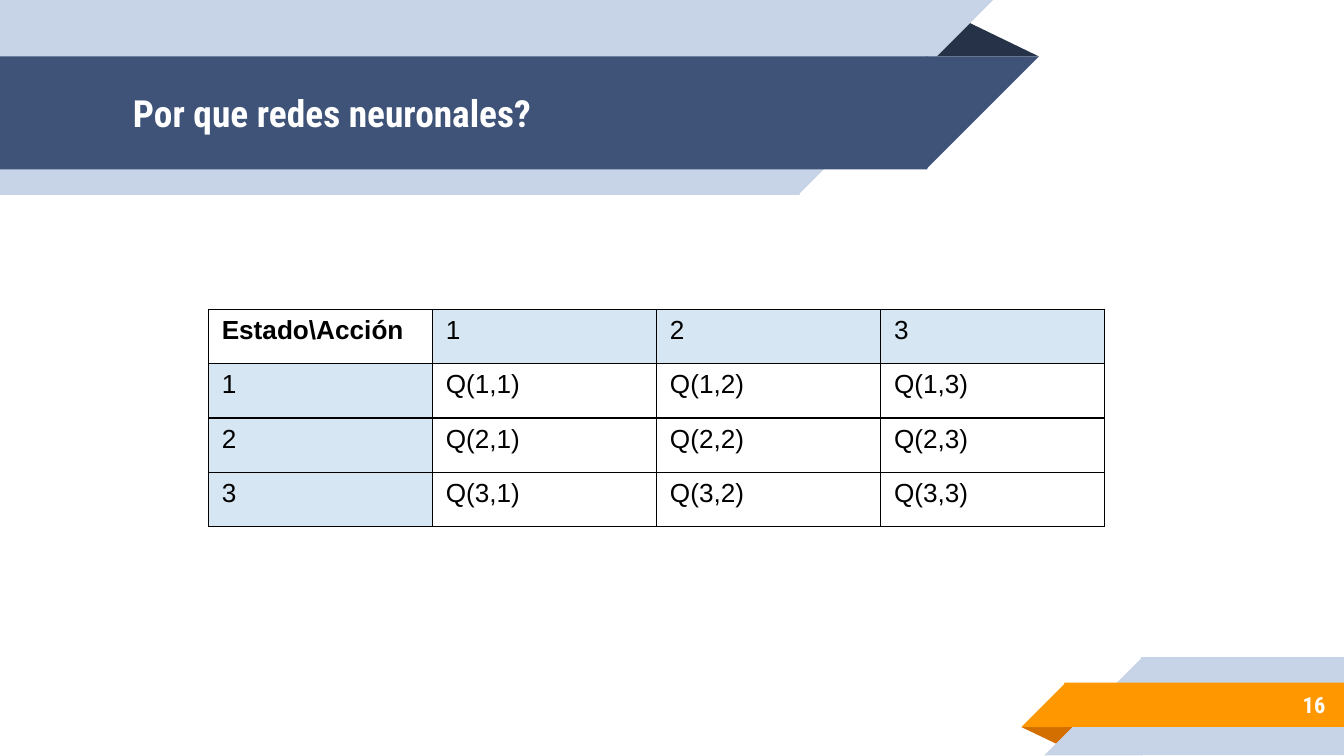
from lxml import etree
from pptx import Presentation
from pptx.dml.color import RGBColor
from pptx.enum.shapes import MSO_SHAPE
from pptx.enum.text import MSO_ANCHOR, PP_ALIGN
from pptx.oxml.ns import qn
from pptx.util import Inches, Pt

RECT, RIGHT_TRIANGLE = MSO_SHAPE.RECTANGLE, MSO_SHAPE.RIGHT_TRIANGLE
TRIANGLE = MSO_SHAPE.ISOSCELES_TRIANGLE
MIDDLE, LEFT, RIGHT = MSO_ANCHOR.MIDDLE, PP_ALIGN.LEFT, PP_ALIGN.RIGHT
OVERLAP = 0.01
COLORS = {
    "pale": "C7D3E6", "navy": "3F5378", "dark": "263248",
    "orange": "FF9800", "rust": "D26F00", "header": "D6E6F2",
    "white": "FFFFFF", "black": "000000",
}
HEADING = {"name": "Roboto Condensed", "bold": True}
CELL = {"name": "Arial", "size": Pt(14)}


def rgb(name):
    """Return the named colour."""
    return RGBColor.from_string(COLORS[name])


def format_font(font, color, values):
    """Apply a colour and a dict of values to a font."""
    for key, value in values.items():
        setattr(font, key, value)
    font.color.rgb = rgb(color)


def add_shape(slide, kind, box, color, rotation=0):
    """Add a flat, borderless shape."""
    sp = slide.shapes.add_shape(kind, *map(Inches, box))
    sp.shadow.inherit = False
    sp.fill.solid()
    sp.fill.fore_color.rgb = rgb(color)
    sp.line.fill.background()
    sp.rotation = rotation
    return sp


def add_fold(slide, box, color, rotation=0):
    """Add the shaded triangle behind a ribbon."""
    sp = add_shape(slide, TRIANGLE, box, color, rotation)
    sp.adjustments[0] = 0.32


def add_band(slide, box, color, slant_right):
    """Add a band whose slanted end is a right triangle as wide as it is high."""
    x, y, w, h = box
    if slant_right:
        rect_x, tri_x, rotation = x, x + w - h, 90
    else:
        rect_x, tri_x, rotation = x + h - OVERLAP, x, 270
    add_shape(slide, RECT, (rect_x, y, w - h + OVERLAP, h), color)
    add_shape(slide, RIGHT_TRIANGLE, (tri_x, y, h, h), color, rotation)


def add_text(slide, box, text, size, align):
    """Add a line of white heading text, centred vertically."""
    tf = slide.shapes.add_textbox(*map(Inches, box)).text_frame
    tf.word_wrap = True
    tf.vertical_anchor = MIDDLE
    for side in ("left", "top", "right", "bottom"):
        setattr(tf, f"margin_{side}", Inches(0.1))
    p = tf.paragraphs[0]
    p.alignment = align
    r = p.add_run()
    r.text = text
    format_font(r.font, "white", {**HEADING, "size": Pt(size)})


def add_header(slide, box, title):
    """Add the title ribbon at the top left."""
    x, y, w, h = box
    add_fold(slide, (x + w - 0.85, y + 0.14, 0.85, 0.28), "dark")
    add_band(slide, (x, y, w - 0.34, h), "pale", True)
    add_band(slide, (x, y + 0.42, w, 0.84), "navy", True)
    add_text(slide, (x + 0.89, y + 0.42, 6.01, 0.84), title, 20, LEFT)


def add_footer(slide, box, number):
    """Add the page number ribbon at the bottom right."""
    x, y, w, h = box
    add_fold(slide, (x, y + 0.52, 0.43, 0.14), "rust", 180)
    add_band(slide, (x + 0.17, y, w - 0.17, h), "pale", False)
    add_band(slide, (x, y + 0.19, w, 0.33), "orange", False)
    add_text(slide, (x + 0.73, y + 0.18, 1.63, 0.35), number, 12, RIGHT)


def add_borders(cell):
    """Draw thin black borders around a cell."""
    tc_pr = cell._tc.get_or_add_tcPr()
    for i, side in enumerate(("lnL", "lnR", "lnT", "lnB")):
        ln = etree.Element(qn(f"a:{side}"), w=str(Pt(0.75)))
        fill = etree.SubElement(ln, qn("a:solidFill"))
        etree.SubElement(fill, qn("a:srgbClr"), val=COLORS["black"])
        tc_pr.insert(i, ln)


def add_q_table(slide, box, n):
    """Add the table of Q values for n states and n actions."""
    table = slide.shapes.add_table(n + 1, n + 1, *map(Inches, box)).table
    table.first_row = table.horz_banding = False
    for row in range(n + 1):
        for col in range(n + 1):
            cell = table.cell(row, col)
            corner = row == col == 0
            if corner:
                cell.text = "Estado\\Acción"
            elif row and col:
                cell.text = f"Q({row},{col})"
            else:
                cell.text = str(row or col)
            if corner or row and col:
                cell.fill.background()
            else:
                cell.fill.solid()
                cell.fill.fore_color.rgb = rgb("header")
            font = cell.text_frame.paragraphs[0].runs[0].font
            format_font(font, "black", {**CELL, "bold": corner})
            add_borders(cell)


def main():
    """Build the slide and save it."""
    prs = Presentation()
    prs.slide_width = Inches(10)
    prs.slide_height = prs.slide_width * 9 // 16
    slide = prs.slides.add_slide(prs.slide_layouts[6])
    add_header(slide, (0, 0, 7.73, 1.45), "Por que redes neuronales?")
    add_footer(slide, (7.6, 4.89, 2.4, 0.73), "16")
    add_q_table(slide, (1.55, 2.3, 6.67, 1.62), 3)
    prs.save("out.pptx")


if __name__ == "__main__":
    main()
